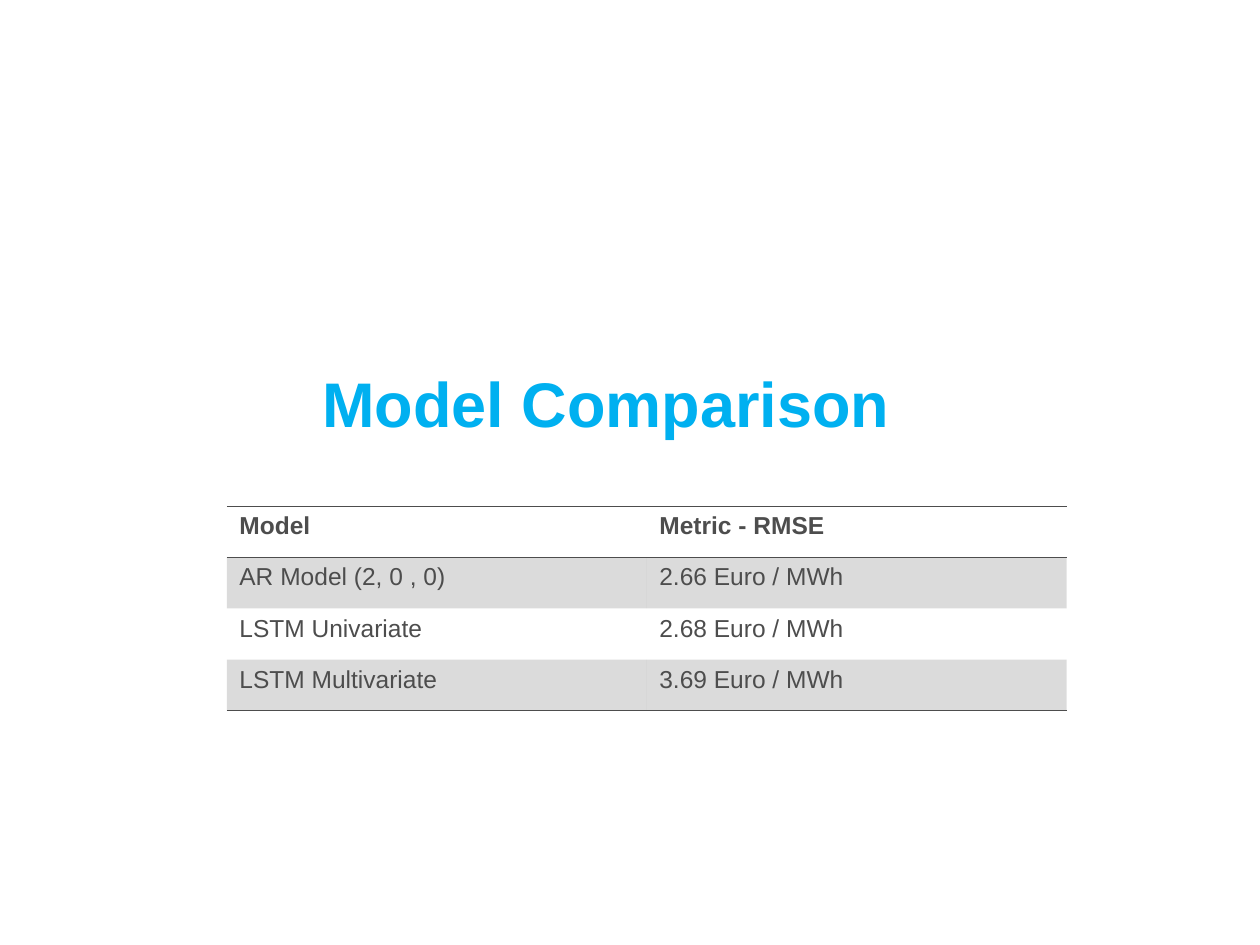
"""Build the model comparison slide with its RMSE table."""
from lxml import etree
from pptx import Presentation
from pptx import util as u
from pptx.dml.color import RGBColor
from pptx.enum import text
from pptx.oxml.ns import qn

BLUE = RGBColor(0x00, 0xB0, 0xF0)
GRAY = RGBColor(0x4D, 0x4D, 0x4D)
NO_STYLE = "{2D5ABB26-0587-4C30-8999-92F81FD0307C}"
ROWS = [
    ("Model", "Metric - RMSE"),
    ("AR Model (2, 0 , 0)", "2.66 Euro / MWh"),
    ("LSTM Univariate", "2.68 Euro / MWh"),
    ("LSTM Multivariate", "3.69 Euro / MWh"),
]
BORDERS = {0: ("a:lnT", "a:lnB"), len(ROWS) - 1: ("a:lnB",)}


def style_font(paragraph, size, color, bold):
    for span in paragraph.runs:
        span.font.name = "Arial"
        span.font.size = u.Pt(size)
        span.font.color.rgb = color
        span.font.bold = bold


def add_border(cell, side, position):
    line = etree.Element(qn(side), w=str(u.Pt(1)))
    fill = etree.SubElement(line, qn("a:solidFill"))
    etree.SubElement(fill, qn("a:srgbClr"), val=str(GRAY))
    cell._tc.get_or_add_tcPr().insert(position, line)


deck = Presentation()
deck.slide_width, deck.slide_height = u.Pt(720), u.Pt(540)
page = deck.slides.add_slide(deck.slide_layouts[5])

title = page.shapes.title
title.left, title.top = u.Pt(173.5), u.Pt(184.3)
title.width, title.height = u.Pt(345.6), u.Pt(91.4)
title.text_frame.text = "Model Comparison"
title.text_frame.word_wrap = True
title.text_frame.vertical_anchor = text.MSO_ANCHOR.MIDDLE
heading = title.text_frame.paragraphs[0]
heading.alignment = text.PP_ALIGN.CENTER
style_font(heading, 36, BLUE, True)

frame = page.shapes.add_table(len(ROWS), 2, u.Pt(129.6), u.Pt(289.3), u.Pt(480), u.Pt(116.8))
table = frame.table
table.first_row = True
table.horz_banding = True
table._tbl.tblPr.find(qn("a:tableStyleId")).text = NO_STYLE

for row, labels in enumerate(ROWS):
    for column, label in enumerate(labels):
        cell = table.cell(row, column)
        cell.text_frame.text = label
        style_font(cell.text_frame.paragraphs[0], 14, GRAY, row == 0)
        if row % 2:
            cell.fill.solid()
            cell.fill.fore_color.rgb = GRAY
            tint = cell._tc.tcPr.find(".//" + qn("a:srgbClr"))
            etree.SubElement(tint, qn("a:alpha"), val="20000")
        else:
            cell.fill.background()
        for position, side in enumerate(BORDERS.get(row, ())):
            add_border(cell, side, position)

deck.save("out.pptx")
